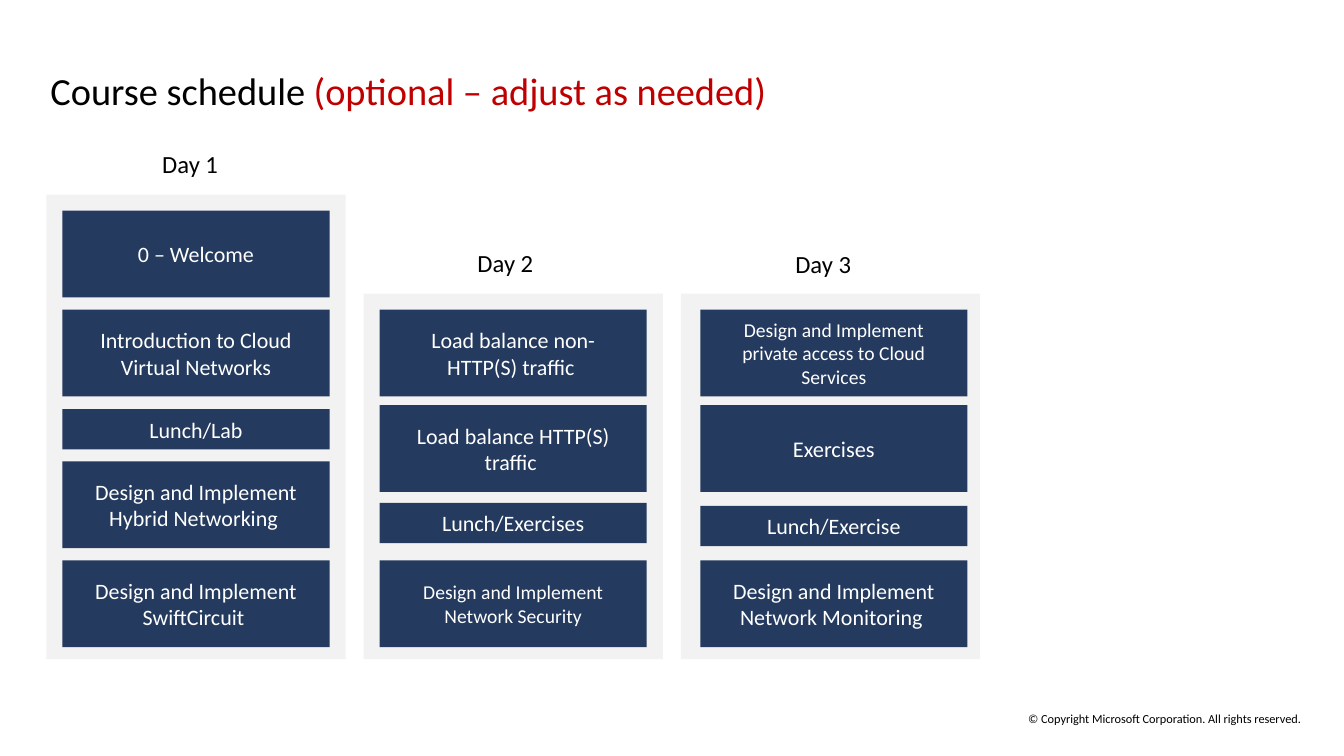
from dataclasses import dataclass

from pptx import Presentation
from pptx.dml.color import RGBColor
from pptx.enum.shapes import MSO_SHAPE
from pptx.enum.text import MSO_ANCHOR as ANCHOR, MSO_AUTO_SIZE as AUTO, PP_ALIGN as ALIGN
from pptx.util import Pt

FONT = "Calibri"
BLACK, WHITE, RED = "000000", "FFFFFF", "C00000"
NAVY, GREY = "243A5E", "F2F2F2"

PANEL_LEFT, PANEL_PITCH, PANEL_WIDTH, PANEL_BOTTOM = 33.1, 226.6, 213.8, 470.9
PANEL_PAD = 11.5
SESSION_WIDTH, SESSION_HEIGHT, BREAK_HEIGHT = 190.8, 62, 28.8


@dataclass
class Session:
    text: str
    top: float
    height: float = SESSION_HEIGHT
    size: float = 15.7


@dataclass
class Day:
    name: str
    name_left: float
    name_top: float
    panel_top: float
    sessions: list[Session]
    pad: float = PANEL_PAD


DAYS = [
    Day("Day 1", 115.9, 106.6, 139, [
        Session("0 – Welcome", 150.4),
        Session("Introduction to Cloud Virtual Networks", 221.2),
        Session("Lunch/Lab", 292.2, BREAK_HEIGHT),
        Session("Design and Implement Hybrid Networking ", 329.5),
        Session("Design and Implement SwiftCircuit ", 400.3),
    ]),
    Day("Day 2", 341.1, 176.9, 209.7, [
        Session("Load balance non-HTTP(S) traffic ", 221.2),
        Session("Load balance HTTP(S) traffic ", 289.4),
        Session("Lunch/Exercises", 359.3, BREAK_HEIGHT),
        Session("Design and Implement Network Security", 400.3, size=14),
    ]),
    Day("Day 3", 568.1, 178, 209.7, [
        Session("Design and Implement private access to Cloud Services", 221.2, size=14),
        Session("Exercises", 289.4, size=16),
        Session("Lunch/Exercise", 361.4, BREAK_HEIGHT),
        Session("Design and Implement Network Monitoring ", 400.3),
    ], pad=13.9),
]


def rgb(color: str) -> RGBColor:
    return RGBColor.from_string(color)


def format_run(r, size: float, color: str) -> None:
    r.font.name = FONT
    r.font.size = Pt(size)
    r.font.bold = False
    r.font.color.rgb = rgb(color)


def set_insets(tf, across: float = 0, down: float = 0) -> None:
    tf.margin_left = tf.margin_right = Pt(across)
    tf.margin_top = tf.margin_bottom = Pt(down)


def write(tf, text: str, size: float, color: str, align=ALIGN.CENTER) -> None:
    """Fill a text frame with one formatted paragraph."""
    tf.text = text
    p = tf.paragraphs[0]
    p.alignment = align
    format_run(p.runs[0], size, color)


def add_rect(s, left: float, top: float, width: float, height: float, color: str):
    sp = s.shapes.add_shape(MSO_SHAPE.RECTANGLE, Pt(left), Pt(top), Pt(width), Pt(height))
    sp.shadow.inherit = False
    sp.fill.solid()
    sp.fill.fore_color.rgb = rgb(color)
    sp.line.fill.background()
    return sp


def add_label(s, text: str, left: float, top: float, width: float, height: float,
              size: float, align=ALIGN.LEFT, wrap: bool = False) -> None:
    tf = s.shapes.add_textbox(Pt(left), Pt(top), Pt(width), Pt(height)).text_frame
    set_insets(tf)
    tf.word_wrap = wrap
    write(tf, text, size, BLACK, align)


def add_title(s) -> None:
    title = s.shapes.title
    title.left, title.top, title.width, title.height = Pt(36), Pt(49), Pt(890), Pt(31.7)
    tf = title.text_frame
    set_insets(tf)
    tf.auto_size = AUTO.NONE
    tf.vertical_anchor = ANCHOR.MIDDLE
    p = tf.paragraphs[0]
    p.alignment = ALIGN.LEFT
    p.line_spacing = Pt(31.4)
    for text, color in (("Course schedule ", BLACK), ("(optional – adjust as needed)", RED)):
        r = p.add_run()
        r.text = text
        format_run(r, 27.4, color)


def add_day(s, day: Day, left: float) -> None:
    add_label(s, day.name, day.name_left, day.name_top, 50, 21.6, 17.6)
    add_rect(s, left, day.panel_top, PANEL_WIDTH, PANEL_BOTTOM - day.panel_top, GREY)
    for session in day.sessions:
        sp = add_rect(s, left + day.pad, session.top, SESSION_WIDTH, session.height, NAVY)
        tf = sp.text_frame
        set_insets(tf, 14.4, 11.5)
        tf.word_wrap = True
        tf.vertical_anchor = ANCHOR.MIDDLE
        write(tf, session.text, session.size, WHITE)


def main() -> None:
    prs = Presentation()
    prs.slide_width, prs.slide_height = Pt(960), Pt(540)
    s = prs.slides.add_slide(prs.slide_layouts[5])
    add_title(s)
    for i, day in enumerate(DAYS):
        add_day(s, day, PANEL_LEFT + i * PANEL_PITCH)
    add_label(s, "© Copyright Microsoft Corporation. All rights reserved.",
              704.2, 508.3, 255.6, 10.8, 8.8, ALIGN.CENTER, wrap=True)
    prs.save("out.pptx")


if __name__ == "__main__":
    main()
